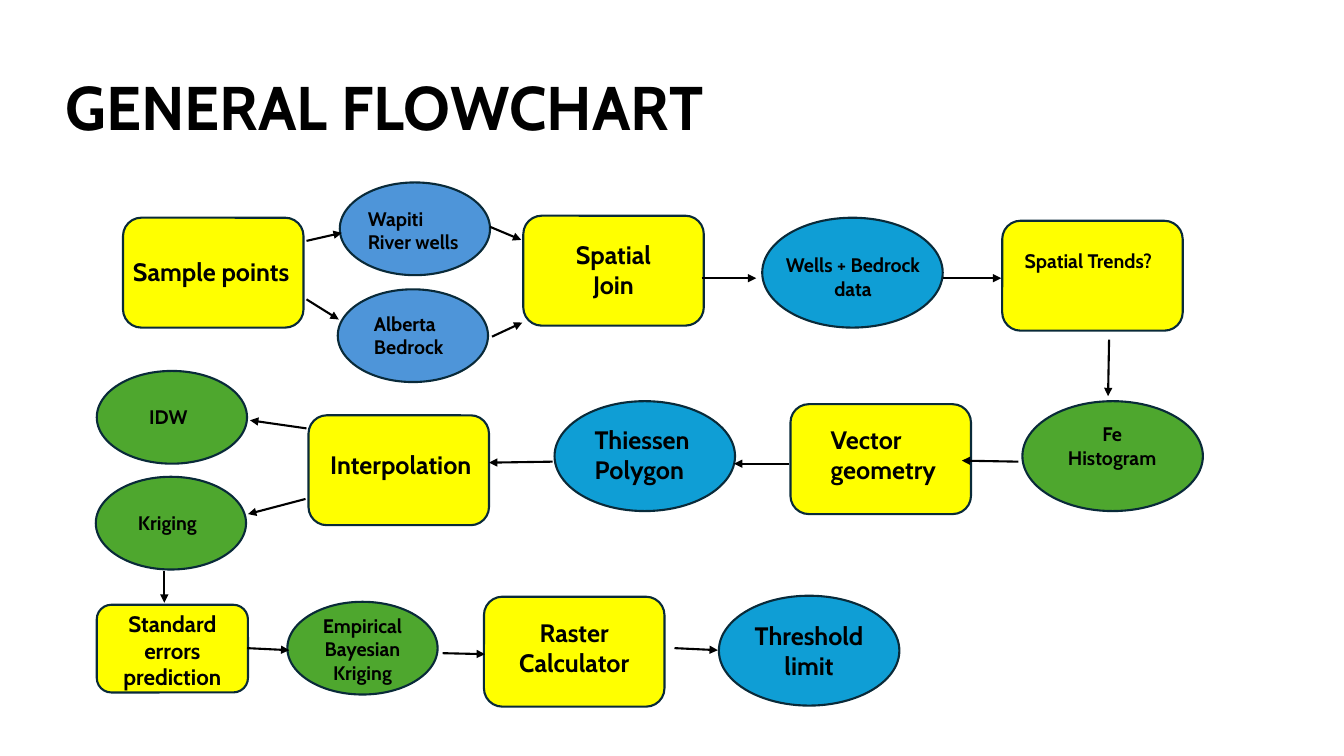
import pptx
import pptx.dml.color
import pptx.enum.shapes
import pptx.enum.text
import pptx.oxml.ns
import pptx.util
from lxml import etree

RGBColor = pptx.dml.color.RGBColor
BLACK = RGBColor(0x00, 0x00, 0x00)
WHITE = RGBColor(0xFF, 0xFF, 0xFF)
YELLOW = RGBColor(0xFF, 0xFF, 0x00)
SKY = RGBColor(0x4E, 0x95, 0xD9)
BLUE = RGBColor(0x0F, 0x9E, 0xD5)
GREEN = RGBColor(0x4E, 0xA7, 0x2E)
OUTLINE = RGBColor(0x09, 0x2A, 0x39)

BOX = pptx.enum.shapes.MSO_SHAPE.ROUNDED_RECTANGLE
OVAL = pptx.enum.shapes.MSO_SHAPE.OVAL
LEFT = pptx.enum.text.PP_ALIGN.LEFT
CENTER = pptx.enum.text.PP_ALIGN.CENTER
MIDDLE = pptx.enum.text.MSO_ANCHOR.MIDDLE

# The grid has ten columns and ten rows to the inch.
COLUMNS, ROWS = 133.3, 75
LARGE = (17.9, 10.9)
SMALL = (14.9, 9.2)
STEP = (15, 8.7)

# Outline, fill, (column, row), size, label, label area, font size, alignment
NODES = [
    (BOX, YELLOW, (12.2, 21.6), LARGE, "Sample points", (12.2, 24.9, 19.9, 4), 18, LEFT),
    (OVAL, SKY, (33.7, 18.1), SMALL, "Wapiti River wells", (35.5, 20, 11.7, 5.7), 14, LEFT),
    (OVAL, SKY, (33.5, 28.7), SMALL, "Alberta Bedrock", (36.1, 30.4, 12.5, 8.8), 14, LEFT),
    (BOX, YELLOW, (51.9, 21.4), LARGE, "Spatial Join", (54.2, 23.2, 13.3, 11.1), 18, CENTER),
    (OVAL, BLUE, (75.6, 21.6), LARGE, "Wells + Bedrock data", (75.7, 24.6, 17.8, 11.8), 14, CENTER),
    (BOX, YELLOW, (99.4, 21.9), LARGE, "Spatial Trends?", (100.2, 24.2, 15.5, 11.8), 14, CENTER),
    (OVAL, GREEN, (101.4, 39.8), LARGE, "Fe\nHistogram", (101.4, 41.4, 17.8, 11.8), 14, CENTER),
    (BOX, YELLOW, (78.4, 40.1), LARGE, "Vector geometry", (81.4, 41.6, 14.9, 10.1), 18, LEFT),
    (OVAL, BLUE, (55, 39.8), LARGE, "Thiessen Polygon", (58, 41.6, 16, 7.1), 18, LEFT),
    (BOX, YELLOW, (30.6, 41.2), LARGE, "Interpolation", (30.8, 44.1, 17.9, 7.1), 18, CENTER),
    (OVAL, GREEN, (9.6, 36.8), SMALL, "IDW", (13.8, 39.7, 6.9, 6.4), 14, LEFT),
    (OVAL, GREEN, (9.5, 47.3), SMALL, "Kriging", (12.7, 50.2, 11.7, 3.4), 14, LEFT),
    (BOX, YELLOW, (9.6, 60), STEP, "Standard errors prediction", (10.8, 60, 12.6, 12.1), 16, CENTER),
    (OVAL, GREEN, (28.5, 59.7), SMALL, "Empirical Bayesian\nKriging", (28.5, 60.4, 14.9, 8.1), 14, CENTER),
    (BOX, YELLOW, (48, 59.2), LARGE, "Raster Calculator", (49.5, 60.7, 14.9, 10.1), 18, CENTER),
    (OVAL, BLUE, (71.3, 59.1), LARGE, "Threshold limit", (73.1, 61, 14.3, 7.1), 18, CENTER),
]

# Start column and row, end column and row, in the order of the flow
ARROWS = [
    (30.4, 23.9, 33.9, 23.1),
    (30.4, 29.7, 33.6, 31.7),
    (48.6, 22.5, 51.7, 23.8),
    (48.8, 33.4, 51.8, 32),
    (69.6, 27.6, 75, 27.6),
    (93.5, 27.6, 99.3, 27.6),
    (110, 33.7, 109.9, 39.3),
    (101, 45.8, 95.4, 45.7),
    (78.3, 46, 72.8, 46),
    (54.8, 45.8, 48.5, 45.9),
    (30.4, 42.5, 24.8, 41.7),
    (30.3, 49.5, 24.6, 51),
    (16.3, 56.6, 16.3, 59.8),
    (24.5, 64.3, 28.7, 64.5),
    (43.9, 64.8, 48.1, 64.9),
    (66.9, 64.3, 71.2, 64.5),
]


class Flowchart:
    """Draws on one slide; every length is in grid columns and rows."""

    font_name = "Cabin"
    line_width = pptx.util.Pt(1.5)

    def __init__(self, presentation):
        self.column = presentation.slide_width / COLUMNS
        self.row = presentation.slide_height / ROWS
        self.slide = presentation.slides.add_slide(presentation.slide_layouts[6])
        self.slide.background.fill.solid()
        self.slide.background.fill.fore_color.rgb = WHITE

    def place(self, *lengths):
        """Turn alternating columns and rows into slide units."""
        units = (self.column, self.row) * 2
        return [round(length * unit) for length, unit in zip(lengths, units)]

    def add_text(self, text, area, size, alignment=LEFT):
        frame = self.slide.shapes.add_textbox(*self.place(*area)).text_frame
        frame.word_wrap = True
        frame.text = text
        for paragraph in frame.paragraphs:
            paragraph.alignment = alignment
            paragraph.font.name = self.font_name
            paragraph.font.size = pptx.util.Pt(size)
            paragraph.font.bold = True
            paragraph.font.color.rgb = BLACK
        return frame

    def add_title(self, text, area):
        frame = self.add_text(text, area, 44)
        frame.vertical_anchor = MIDDLE
        frame.paragraphs[0].line_spacing = 0.9

    def add_node(self, outline, fill, corner, size, label, area, font_size, alignment):
        shape = self.slide.shapes.add_shape(outline, *self.place(*corner, *size))
        shape.shadow.inherit = False
        shape.fill.solid()
        shape.fill.fore_color.rgb = fill
        shape.line.color.rgb = OUTLINE
        shape.line.width = self.line_width
        self.add_text(label, area, font_size, alignment)

    def add_arrow(self, *ends):
        connector = self.slide.shapes.add_connector(
            pptx.enum.shapes.MSO_CONNECTOR.STRAIGHT, *self.place(*ends))
        connector.line.color.rgb = BLACK
        connector.line.width = self.line_width
        qn = pptx.oxml.ns.qn
        properties = connector.element.spPr
        etree.SubElement(properties.find(qn("a:ln")), qn("a:tailEnd"), type="triangle")
        etree.SubElement(properties, qn("a:effectLst"))


def main():
    presentation = pptx.Presentation()
    presentation.slide_width = pptx.util.Inches(13.33)
    presentation.slide_height = pptx.util.Inches(7.5)
    flowchart = Flowchart(presentation)
    flowchart.add_title("GENERAL FLOWCHART", (5.5, 3.7, 115, 14.5))
    for node in NODES:
        flowchart.add_node(*node)
    for arrow in ARROWS:
        flowchart.add_arrow(*arrow)
    presentation.save("out.pptx")


if __name__ == "__main__":
    main()
